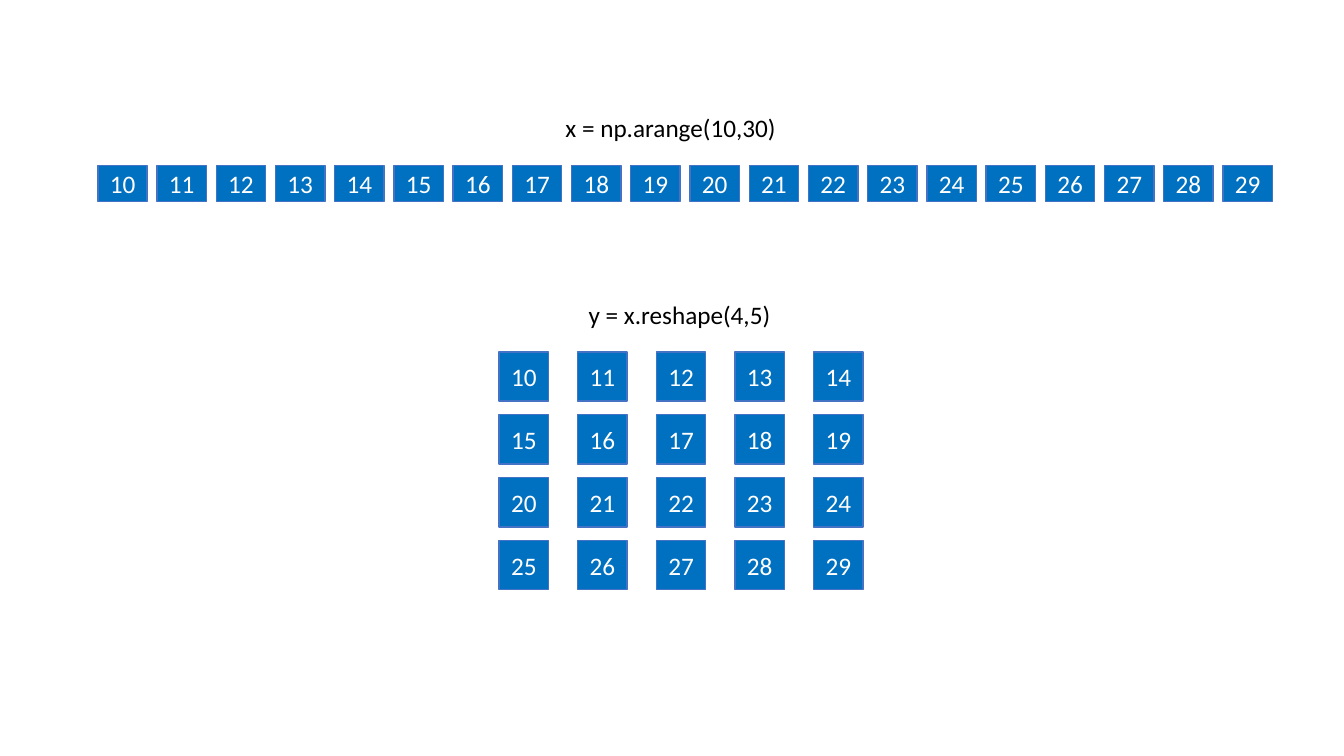
from pptx import Presentation
from pptx import util as u
from pptx.dml.color import RGBColor
from pptx.enum import shapes, text

ARRAYS = [
    {"code": "x = np.arange(10,30)", "code_at": (5.51, 1.07, 2.31, 0.4),
     "rows": 1, "columns": 20, "first": (0.97, 1.64), "last": (12.13, 1.64),
     "cell": (0.49, 0.36)},
    {"code": "y = x.reshape(4,5)", "code_at": (5.74, 2.92, 2.03, 0.4),
     "rows": 4, "columns": 5, "first": (4.95, 3.49), "last": (8.07, 5.36),
     "cell": (0.49, 0.49)},
]
START = 10
FONT = {"name": "Calibri", "size": u.Pt(18)}
CODE_FRAME = {"word_wrap": False, "auto_size": text.MSO_AUTO_SIZE.SHAPE_TO_FIT_TEXT}
CELL_FRAME = {"word_wrap": True, "vertical_anchor": text.MSO_ANCHOR.MIDDLE}


def color(hex_value):
    return RGBColor.from_string(hex_value)


def apply(target, values):
    for name, value in values.items():
        setattr(target, name, value)


def write(frame, words, frame_format, ink, align):
    apply(frame, frame_format)
    line = frame.paragraphs[0]
    line.alignment = align
    run = line.add_run()
    run.text = words
    apply(run.font, FONT)
    run.font.color.rgb = color(ink)


def add_cell(slide, number, left, top, size):
    cell = slide.shapes.add_shape(
        shapes.MSO_SHAPE.RECTANGLE, *map(u.Inches, (left, top, *size)))
    cell.shadow.inherit = False
    cell.fill.solid()
    cell.fill.fore_color.rgb = color("0070C0")
    cell.line.color.rgb = color("4472C4")
    cell.line.width = u.Pt(1)
    write(cell.text_frame, str(number), CELL_FRAME, "FFFFFF", text.PP_ALIGN.CENTER)


def add_array(slide, array):
    rows, columns = array["rows"], array["columns"]
    (left, top), (right, bottom) = array["first"], array["last"]
    column_step = (right - left) / max(columns - 1, 1)
    row_step = (bottom - top) / max(rows - 1, 1)
    for index in range(rows * columns):
        row, column = divmod(index, columns)
        add_cell(slide, START + index, left + column * column_step,
                 top + row * row_step, array["cell"])
    code = slide.shapes.add_textbox(*map(u.Inches, array["code_at"]))
    write(code.text_frame, array["code"], CODE_FRAME, "000000", text.PP_ALIGN.LEFT)


def main():
    deck = Presentation()
    apply(deck, {"slide_width": u.Inches(13.33), "slide_height": u.Inches(7.5)})
    slide = deck.slides.add_slide(deck.slide_layouts[6])
    for array in ARRAYS:
        add_array(slide, array)
    deck.save("out.pptx")


if __name__ == "__main__":
    main()
